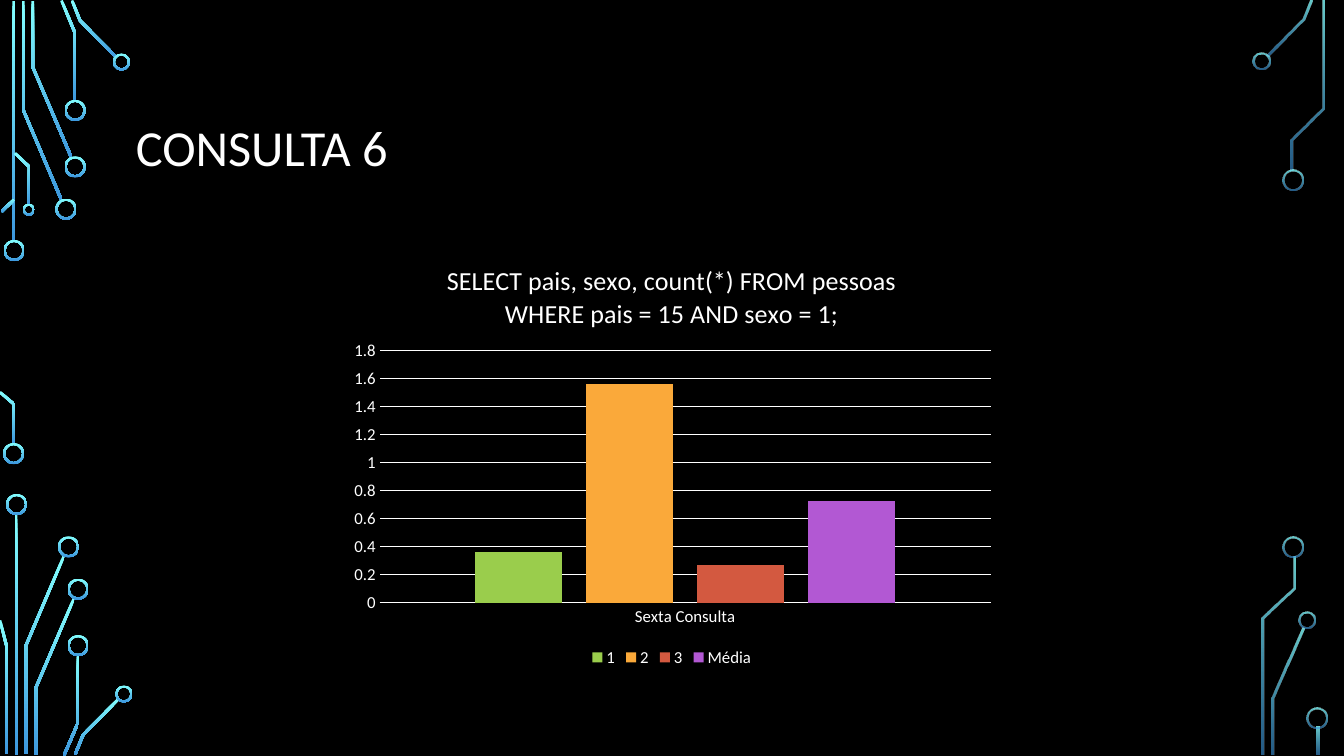
from math import hypot

from lxml.etree import SubElement
from pptx import Presentation
from pptx.chart.data import CategoryChartData
from pptx.dml.color import RGBColor
from pptx.enum.chart import XL_CHART_TYPE, XL_LEGEND_POSITION, XL_TICK_MARK
from pptx.enum.shapes import MSO_SHAPE
from pptx.enum.text import MSO_ANCHOR
from pptx.oxml.ns import qn
from pptx.util import Inches, Pt

COLORS = {"bg": "000000", "text": "FFFFFF", "glow": "82FFFF", "deep": "3D97DE",
          "1": "9ACD4C", "2": "FAA93A", "3": "D35940", "Média": "B258D3"}
CELL = Inches(0.01)
COLS, ROWS = 1333.33, 750
SOLID, FADED = (100, 100), (80, 60)

LEFT_TRACES = [
    [(13.5, 1), (13.5, 240)],
    [(61, 198.5), (23, 109), (23, 1)],
    [(71, 156.5), (32.5, 66.5), (32.5, 1)],
    [(74.5, 100), (74.5, 33), (61, 0.5)],
    [(115.5, 57), (79.5, 20.5), (71.5, 0.5)],
    [(1.5, 210), (14, 198)],
    [(14, 441), (14, 401), (0, 389)],
    [(29, 203), (29, 165.5), (15, 152)],
    [(16, 510), (16, 749)],
    [(25.5, 748), (25.5, 641), (63.5, 551.5)],
    [(6.5, 748), (6.5, 641), (0, 615.5)],
    [(35.5, 749), (35.5, 682.5), (73.5, 593.5)],
    [(63.5, 749.5), (77.5, 717), (77.5, 650)],
    [(74.5, 748.5), (82.5, 729), (118, 693)],
]
RIGHT_TRACES = [
    [(1257, 55.5), (1292.5, 19.5), (1300.5, 0.5)],
    [(1262.5, 749), (1262.5, 693), (1293, 623.5)],
    [(1282, 169), (1282, 138.5), (1312.5, 107.5), (1312.5, 1)],
    [(1283.5, 552), (1283.5, 583.5), (1252.5, 613.5), (1252.5, 749)],
    [(1307.5, 721), (1307.5, 749)],
]
LEFT_RINGS = {
    21: [(14, 248.5), (13.5, 450), (65.5, 207.5), (74.5, 165.5), (74.5, 109.5),
         (16.5, 500.5), (68, 542.5), (77.5, 584.5), (77.5, 640.5)],
    17: [(120.5, 61.5), (123, 688.5)],
    12: [(28.5, 208)],
}
RIGHT_RINGS = {
    21: [(1282.5, 178.5), (1283, 542.5), (1306.5, 712)],
    17: [(1251.5, 60.5), (1296.5, 615.5)],
}


def outline(points, width):
    normals = []
    for (x1, y1), (x2, y2) in zip(points, points[1:]):
        length = hypot(x2 - x1, y2 - y1)
        normals.append(((y1 - y2) / length, (x2 - x1) / length))
    near, far = [], []
    for (x, y), (ax, ay), (bx, by) in zip(points, normals[:1] + normals,
                                          normals + normals[-1:]):
        reach = width / 2 / (1 + ax * bx + ay * by)
        dx, dy = (ax + bx) * reach, (ay + by) * reach
        near.append((x + dx, y + dy))
        far.append((x - dx, y - dy))
    return near + far[::-1]


class Deck:
    def __init__(self, font="Calibri"):
        self.font = font
        self.prs = Presentation()
        self.prs.slide_width = self.cells(COLS)
        self.prs.slide_height = self.cells(ROWS)
        self.s = self.prs.slides.add_slide(self.prs.slide_layouts[6])
        fill = self.s.background.fill
        fill.solid()
        fill.fore_color.rgb = self.color("bg")

    def cells(self, n):
        return round(n * CELL)

    def box(self, *lengths):
        return [self.cells(n) for n in lengths]

    def color(self, name):
        return RGBColor.from_string(COLORS[name])

    def style(self, font, size):
        font.name, font.size, font.bold = self.font, Pt(size), False
        font.color.rgb = self.color("text")

    def glow(self, sp, alphas):
        sp.shadow.inherit = False
        sp.line.fill.background()
        sp.fill.gradient()
        sp.fill.gradient_angle = 270
        for stop, name in zip(sp.fill.gradient_stops, ("glow", "deep")):
            stop.color.rgb = self.color(name)
        if alphas != SOLID:
            stops = sp._element.spPr.iter(qn("a:srgbClr"))
            for clr, alpha in zip(list(stops), alphas):
                SubElement(clr, qn("a:alpha")).set("val", str(alpha * 1000))

    def trace(self, points, alphas, width=2.7):
        start, *rest = [self.box(x, y) for x, y in outline(points, width)]
        builder = self.s.shapes.build_freeform(*start)
        builder.add_line_segments(rest, close=True)
        self.glow(builder.convert_to_shape(), alphas)

    def ring(self, x, y, size, alphas):
        sp = self.s.shapes.add_shape(
            MSO_SHAPE.DONUT, *self.box(x - size / 2, y - size / 2, size, size))
        sp.adjustments[0] = 2 / size
        self.glow(sp, alphas)

    def circuit(self, traces, rings, alphas):
        for points in traces:
            self.trace(points, alphas)
        for size, centres in rings.items():
            for x, y in centres:
                self.ring(x, y, size, alphas)

    def title(self, text, *at):
        tf = self.s.shapes.add_textbox(*self.box(*at)).text_frame
        tf.word_wrap = True
        tf.vertical_anchor = MSO_ANCHOR.MIDDLE
        p = tf.paragraphs[0]
        p.text = text
        p.line_spacing = 0.9
        self.style(p.font, 36)

    def column_chart(self, title, category, values, plot_area, *at):
        data = CategoryChartData()
        data.categories = [category]
        for name, value in values.items():
            data.add_series(name, [value])
        chart = self.s.shapes.add_chart(
            XL_CHART_TYPE.COLUMN_CLUSTERED, *self.box(*at), data).chart
        self.style(chart.font, 10)
        chart.has_title = True
        p = chart.chart_title.text_frame.paragraphs[0]
        p.text = title
        self.style(p.font, 18.6)
        chart.chart_title.include_in_layout = False
        chart.has_legend = True
        chart.legend.position = XL_LEGEND_POSITION.BOTTOM
        chart.legend.include_in_layout = False
        self.style(chart.legend.font, 12)
        for axis in (chart.category_axis, chart.value_axis):
            axis.major_tick_mark = axis.minor_tick_mark = XL_TICK_MARK.NONE
            self.style(axis.tick_labels.font, 12)
        axis.minimum_scale, axis.maximum_scale, axis.major_unit = 0, 1.8, 0.2
        axis.format.line.fill.background()
        for line in (chart.category_axis.format.line, axis.major_gridlines.format.line):
            line.color.rgb = self.color("text")
            line.width = Pt(0.75)
        plot = chart.plots[0]
        plot.gap_width, plot.overlap = 219, -27
        plot.vary_by_categories = False
        for series in plot.series:
            series.format.fill.solid()
            series.format.fill.fore_color.rgb = self.color(series.name)
        self.place_plot(chart, plot_area)

    def place_plot(self, chart, shares):
        area = chart._chartSpace.chart.plotArea
        for old in area.findall(qn("c:layout")):
            area.remove(old)
        layout = area.makeelement(qn("c:layout"), {})
        area.insert(0, layout)
        manual = SubElement(layout, qn("c:manualLayout"))
        settings = {"layoutTarget": "inner", "xMode": "edge", "yMode": "edge"}
        settings.update(zip("xywh", shares))
        for tag, value in settings.items():
            SubElement(manual, qn(f"c:{tag}")).set("val", str(value))


def main():
    deck = Deck()
    deck.circuit(LEFT_TRACES, LEFT_RINGS, SOLID)
    deck.circuit(RIGHT_TRACES, RIGHT_RINGS, FADED)
    deck.title("CONSULTA 6", 125, 68, 1083, 162)
    deck.column_chart(
        "SELECT pais, sexo, count(*) FROM pessoas WHERE pais = 15 AND sexo = 1;",
        "Sexta Consulta", {"1": 0.36, "2": 1.56, "3": 0.27, "Média": 0.73},
        (0.06, 0.25, 0.92, 0.59), 337, 242, 659, 424)
    deck.prs.save("out.pptx")


if __name__ == "__main__":
    main()
